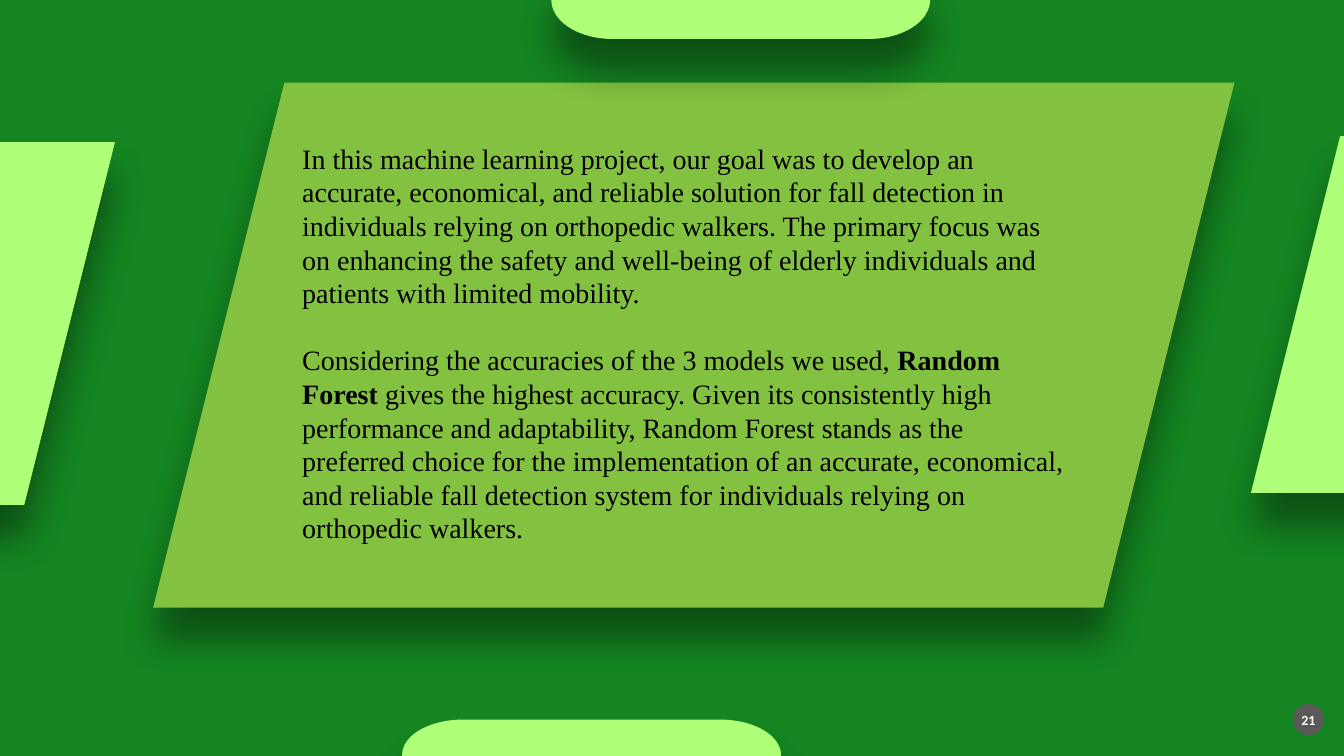
from lxml import etree
from pptx import Presentation
from pptx.dml.color import RGBColor
from pptx.enum import shapes, text
from pptx.oxml import ns
from pptx.util import Pt

GREEN, LIME, PALE = "148521", "83C240", "B0FF78"
GOAL = ("In this machine learning project, our goal was to develop an accurate, economical, "
        "and reliable solution for fall detection in individuals relying on orthopedic walkers. "
        "The primary focus was on enhancing the safety and well-being of elderly individuals "
        "and patients with limited mobility.")
RESULT = [
    ("Considering the accuracies of the 3 models we used, ", False),
    ("Random Forest ", True),
    ("gives the highest accuracy.\u00a0Given its consistently high performance and adaptability, "
     "Random Forest stands as the preferred choice for the implementation of an accurate, "
     "economical, and reliable fall detection system for individuals relying on orthopedic "
     "walkers.", False),
]


def paint(fill, color):
    fill.solid()
    fill.fore_color.rgb = RGBColor.from_string(color)


def style(r, font, size, color, bold=False):
    r.font.name = font
    r.font.size = Pt(size)
    r.font.bold = bold
    r.font.color.rgb = RGBColor.from_string(color)


def add_shape(s, kind, box, color):
    sp = s.shapes.add_shape(kind, *map(Pt, box))
    paint(sp.fill, color)
    sp.line.fill.background()
    sp.shadow.inherit = False
    return sp


def add_panel(s, kind, box, color):
    sp = add_shape(s, kind, box, color)
    effects = sp._element.spPr.find(ns.qn("a:effectLst"))
    shadow = etree.SubElement(effects, ns.qn("a:outerShdw"), blurRad=str(Pt(26)),
                              dist=str(Pt(24)), dir="5400000", algn="t", rotWithShape="0")
    clr = etree.SubElement(shadow, ns.qn("a:srgbClr"), val="000000")
    etree.SubElement(clr, ns.qn("a:alpha"), val="39000")
    return sp


def add_page_number(s, number, box):
    sp = add_shape(s, shapes.MSO_SHAPE.OVAL, box, "595959")
    tf = sp.text_frame
    tf.margin_left = tf.margin_right = tf.margin_top = tf.margin_bottom = 0
    tf.vertical_anchor = text.MSO_ANCHOR.MIDDLE
    tf.word_wrap = False
    tf.text = number
    p = tf.paragraphs[0]
    p.alignment = text.PP_ALIGN.CENTER
    style(p.runs[0], "Calibri", 10, "FFFFFF", True)


def add_conclusion(s, box, paragraphs):
    tf = s.shapes.add_textbox(*map(Pt, box)).text_frame
    tf.word_wrap = True
    for i, runs in enumerate(paragraphs):
        p = tf.add_paragraph() if i else tf.paragraphs[0]
        if i:
            p.space_before = Pt(24)
        for words, bold in runs:
            r = p.add_run()
            r.text = words
            style(r, "Times New Roman", 20, "000000", bold)


def main():
    prs = Presentation()
    prs.slide_width, prs.slide_height = Pt(960), Pt(540)
    s = prs.slides.add_slide(prs.slide_layouts[6])
    paint(s.background.fill, GREEN)

    slanted = shapes.MSO_SHAPE.PARALLELOGRAM
    rounded = shapes.MSO_SHAPE.FLOWCHART_TERMINATOR
    add_page_number(s, "21", (923.5, 502.9, 22.3, 22.3))
    add_panel(s, slanted, (109.4, 59, 772.4, 375), LIME)
    add_panel(s, slanted, (893.5, 97.3, 294.5, 254.8), PALE).rotation = 180
    add_panel(s, slanted, (-188.6, 101.5, 270.7, 259.2), PALE)
    add_panel(s, rounded, (287.2, 514, 270.7, 50.4), PALE)
    add_panel(s, rounded, (393.8, -28.4, 270.7, 56.2), PALE)
    add_conclusion(s, (208.8, 97.3, 559.4, 322.6), [[(GOAL, False)], RESULT])
    prs.save("out.pptx")


if __name__ == "__main__":
    main()
